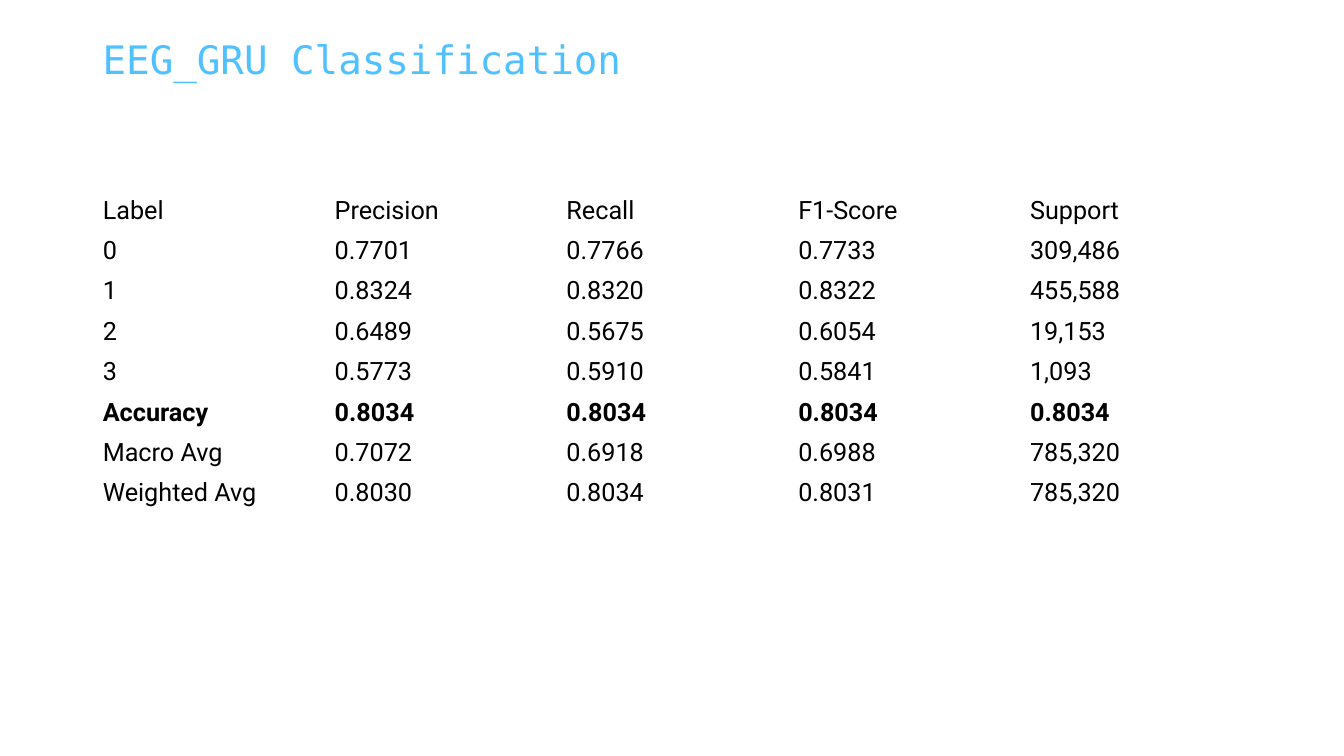
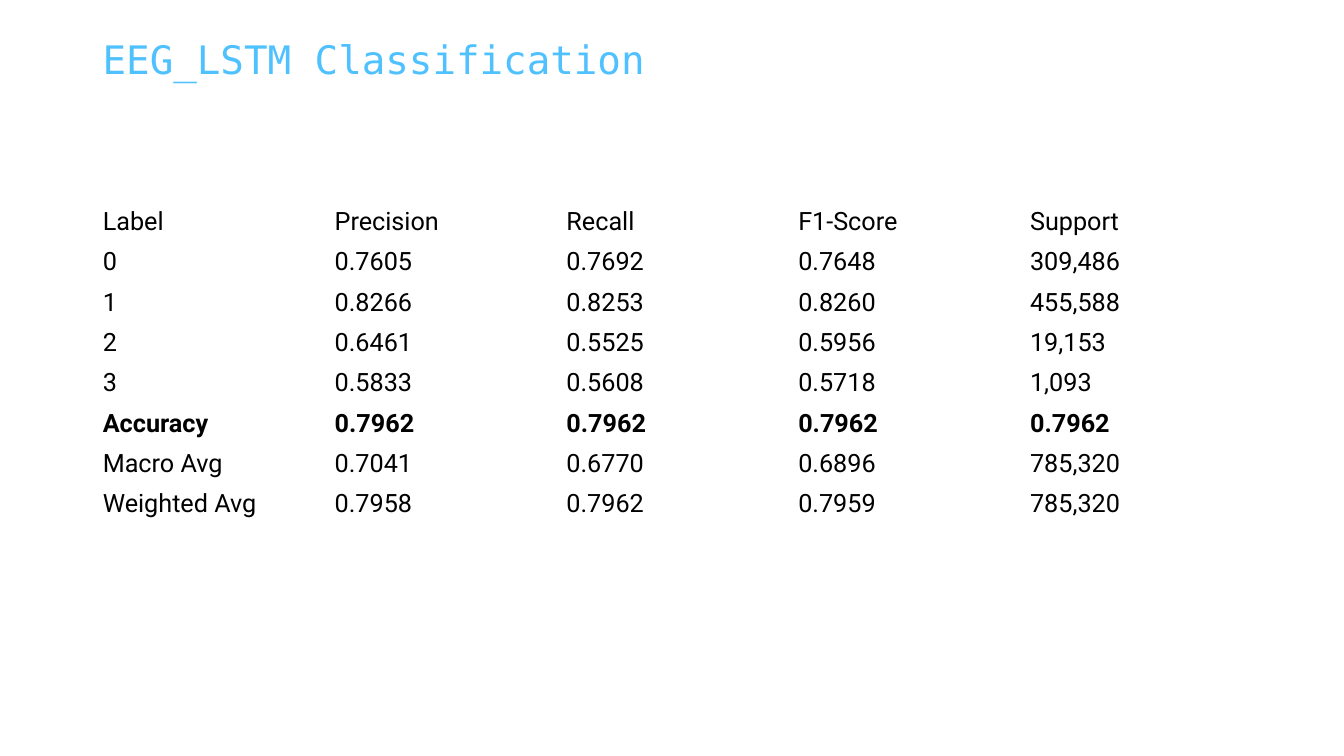
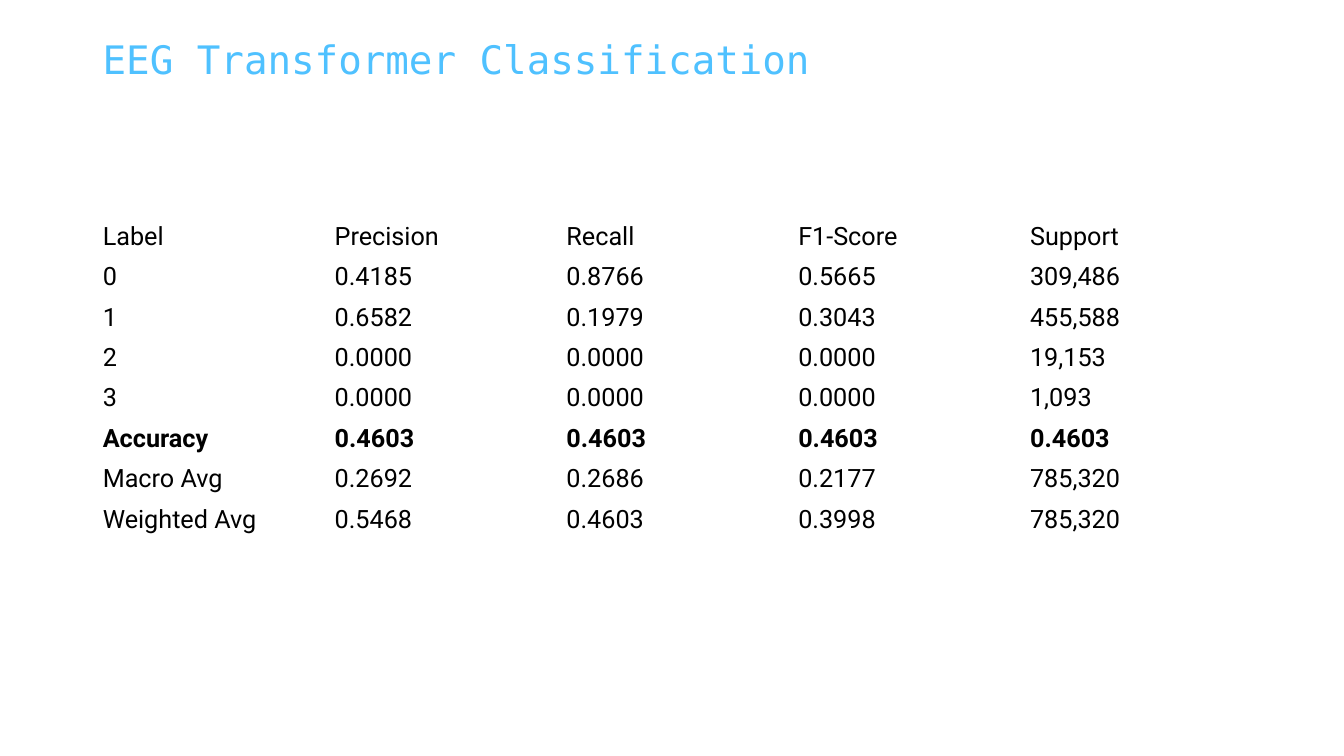
import pptx
import pptx.dml.color
import pptx.enum.text
import pptx.util

COLORS = {"title": "4FC1FF", "body": "000000"}
FONTS = {"title": "DejaVu Sans Mono", "body": "Roboto"}
HEADINGS = ["Label", "Precision", "Recall", "F1-Score", "Support"]
SUPPORT = {
    "0": "309,486",
    "1": "455,588",
    "2": "19,153",
    "3": "1,093",
    "Macro Avg": "785,320",
    "Weighted Avg": "785,320",
}
MODELS = [
    {
        "title": "EEG_GRU Classification",
        "top": 25.2,
        "accuracy": "0.8034",
        "scores": {
            "0": ["0.7701", "0.7766", "0.7733"],
            "1": ["0.8324", "0.8320", "0.8322"],
            "2": ["0.6489", "0.5675", "0.6054"],
            "3": ["0.5773", "0.5910", "0.5841"],
            "Macro Avg": ["0.7072", "0.6918", "0.6988"],
            "Weighted Avg": ["0.8030", "0.8034", "0.8031"],
        },
    },
    {
        "title": "EEG_LSTM Classification",
        "top": 26.67,
        "accuracy": "0.7962",
        "scores": {
            "0": ["0.7605", "0.7692", "0.7648"],
            "1": ["0.8266", "0.8253", "0.8260"],
            "2": ["0.6461", "0.5525", "0.5956"],
            "3": ["0.5833", "0.5608", "0.5718"],
            "Macro Avg": ["0.7041", "0.6770", "0.6896"],
            "Weighted Avg": ["0.7958", "0.7962", "0.7959"],
        },
    },
    {
        "title": "EEG Transformer Classification",
        "top": 28.67,
        "accuracy": "0.4603",
        "scores": {
            "0": ["0.4185", "0.8766", "0.5665"],
            "1": ["0.6582", "0.1979", "0.3043"],
            "2": ["0.0000", "0.0000", "0.0000"],
            "3": ["0.0000", "0.0000", "0.0000"],
            "Macro Avg": ["0.2692", "0.2686", "0.2177"],
            "Weighted Avg": ["0.5468", "0.4603", "0.3998"],
        },
    },
]


def write_text(frame, text, role="body", size=18, bold=False, spacing=None):
    """Write one formatted paragraph into a text frame."""
    paragraph = frame.paragraphs[0]
    paragraph.line_spacing = spacing
    run = paragraph.add_run()
    run.text = text
    run.font.name = FONTS[role]
    run.font.size = pptx.util.Pt(size)
    run.font.bold = bold
    run.font.color.rgb = pptx.dml.color.RGBColor.from_string(COLORS[role])


def report_rows(model):
    """List the rows of a model's classification report."""
    rows = [[label, *scores, SUPPORT[label]] for label, scores in model["scores"].items()]
    accuracy = ["Accuracy"] + [model["accuracy"]] * (len(HEADINGS) - 1)
    return [HEADINGS, *rows[:4], accuracy, *rows[4:]]


class Deck:
    """Hold the shared style and the current slide, with lengths in percent of its size."""

    left, width, row_height = 6.9, 86.25, 5.2

    def __init__(self):
        self.presentation = pptx.Presentation()
        self.presentation.slide_width = pptx.util.Inches(13.33)
        self.presentation.slide_height = pptx.util.Inches(7.5)
        self.slide = None

    def across(self, share):
        return round(self.presentation.slide_width * share / 100)

    def down(self, share):
        return round(self.presentation.slide_height * share / 100)

    def band(self, top, height):
        return self.across(self.left), self.down(top), self.across(self.width), self.down(height)

    def add_slide(self):
        self.slide = self.presentation.slides.add_slide(self.presentation.slide_layouts[6])

    def add_title(self, text):
        frame = self.slide.shapes.add_textbox(*self.band(4.4, 7.6)).text_frame
        frame.word_wrap = True
        frame.vertical_anchor = pptx.enum.text.MSO_ANCHOR.MIDDLE
        write_text(frame, text, role="title", size=28, spacing=0.9)

    def add_report(self, rows, top):
        area = self.band(top, self.row_height * len(rows))
        report = self.slide.shapes.add_table(len(rows), len(rows[0]), *area).table
        report.first_row = False
        report.horz_banding = False
        for row, values in zip(report.rows, rows):
            for cell, value in zip(row.cells, values):
                cell.fill.background()
                cell.vertical_anchor = pptx.enum.text.MSO_ANCHOR.MIDDLE
                write_text(cell.text_frame, value, bold=values[0] == "Accuracy")


def main():
    deck = Deck()
    for model in MODELS:
        deck.add_slide()
        deck.add_title(model["title"])
        deck.add_report(report_rows(model), model["top"])
    deck.presentation.save("out.pptx")


if __name__ == "__main__":
    main()
